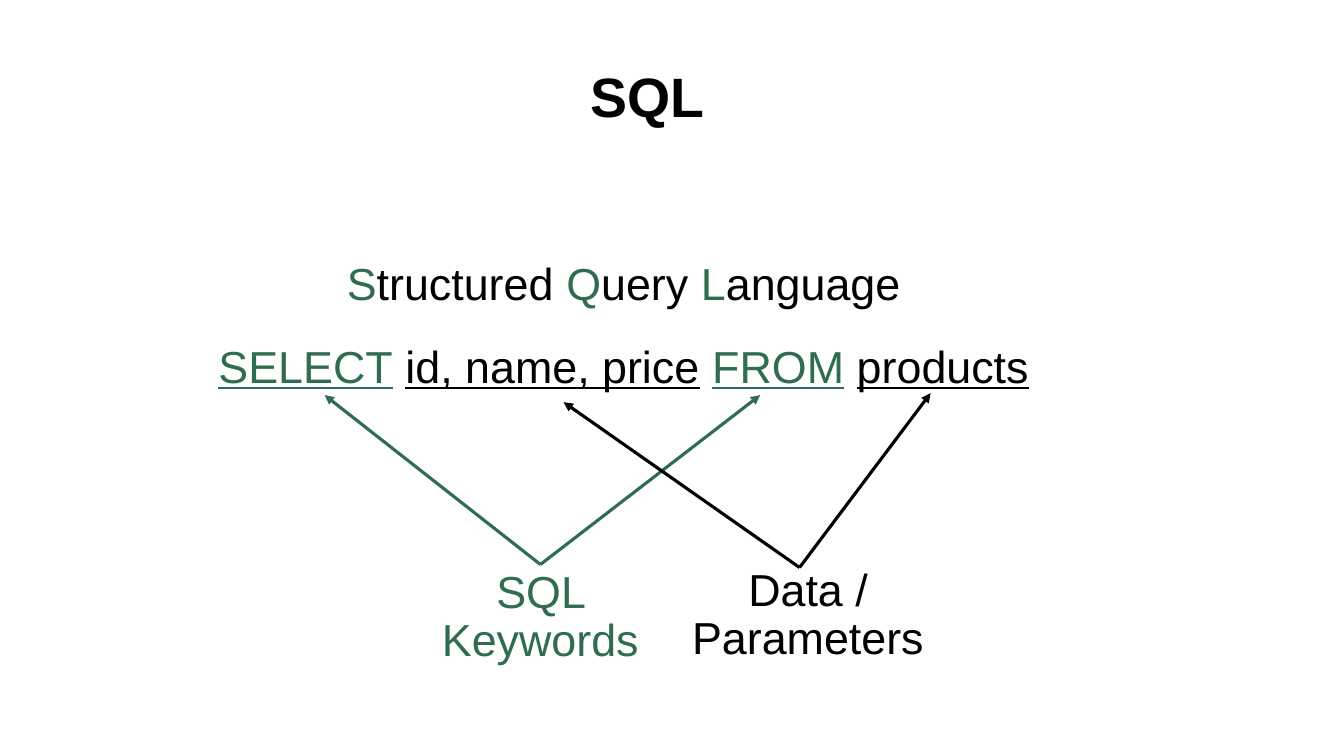
from dataclasses import dataclass

from lxml import etree
from pptx import Presentation
from pptx.dml.color import RGBColor
from pptx.enum.shapes import MSO_CONNECTOR
from pptx.enum.text import MSO_ANCHOR, MSO_AUTO_SIZE, PP_ALIGN
from pptx.oxml.ns import qn
from pptx.shapes.autoshape import Shape
from pptx.slide import Slide
from pptx.text.text import Font, TextFrame
from pptx.util import Inches, Pt

STRAIGHT = MSO_CONNECTOR.STRAIGHT
CENTER, LEFT = PP_ALIGN.CENTER, PP_ALIGN.LEFT
TOP, MIDDLE = MSO_ANCHOR.TOP, MSO_ANCHOR.MIDDLE
NO_AUTOFIT = MSO_AUTO_SIZE.NONE
TOP_SIDE = 0


@dataclass(frozen=True)
class Theme:
    font: str = "Arial"
    keyword: RGBColor = RGBColor(0x30, 0x6C, 0x50)
    data: RGBColor = RGBColor(0, 0, 0)
    title_size: float = 39.6
    body_size: float = 32
    arrow_width: float = 2.25
    line_spacing: float = 0.9
    inset: float = 0.05


THEME = Theme()


@dataclass(frozen=True)
class Piece:
    text: str
    color: RGBColor = THEME.data
    underline: bool = False


@dataclass(frozen=True)
class TextLine:
    left: float
    top: float
    width: float
    pieces: tuple[Piece, ...]
    height: float = 0.56


@dataclass(frozen=True)
class Arrow:
    start: tuple[float, float]
    end: tuple[float, float]
    color: RGBColor


SPACE = Piece(" ")
ACRONYM = TextLine(0.64, 2.55, 11.09, (
    Piece("S", THEME.keyword), Piece("tructured "),
    Piece("Q", THEME.keyword), Piece("uery "),
    Piece("L", THEME.keyword), Piece("anguage"),
))
QUERY = TextLine(0.64, 3.37, 11.09, (
    Piece("SELECT", THEME.keyword, True), SPACE,
    Piece("id, name, price", underline=True), SPACE,
    Piece("FROM", THEME.keyword, True), SPACE,
    Piece("products", underline=True),
))
KEYWORDS_LABEL = TextLine(4.02, 5.6, 2.68, (Piece("SQL Keywords", THEME.keyword),))
DATA_LABEL = TextLine(6.18, 5.58, 3.67, (Piece("Data / Parameters"),))

KEYWORD_ARROWS = [
    Arrow((5.36, 5.6), (3.22, 3.92), THEME.keyword),
    Arrow((5.36, 5.6), (7.54, 3.92), THEME.keyword),
]
DATA_ARROWS = [
    Arrow((7.93, 5.63), (5.59, 3.99), THEME.data),
    Arrow((7.93, 5.63), (9.23, 3.9), THEME.data),
]


def format_frame(text_frame: TextFrame, anchor: MSO_ANCHOR, alignment: PP_ALIGN) -> None:
    text_frame.word_wrap = True
    text_frame.auto_size = NO_AUTOFIT
    text_frame.vertical_anchor = anchor
    text_frame.margin_left = text_frame.margin_right = Inches(THEME.inset)
    text_frame.margin_top = text_frame.margin_bottom = Inches(THEME.inset)
    paragraph = text_frame.paragraphs[0]
    paragraph.alignment = alignment
    paragraph.line_spacing = THEME.line_spacing
    paragraph.space_before = Pt(0)


def format_font(font: Font, size: float, color: RGBColor) -> None:
    font.name = THEME.font
    font.size = Pt(size)
    font.color.rgb = color


def write_title(slide: Slide) -> None:
    title = slide.shapes.title
    title.left, title.top = Inches(5.81), Inches(0.54)
    title.width, title.height = Inches(1.31), Inches(0.89)
    title.text_frame.text = "SQL"
    format_frame(title.text_frame, MIDDLE, LEFT)
    font = title.text_frame.paragraphs[0].runs[0].font
    format_font(font, THEME.title_size, THEME.data)
    font.bold = True


def add_text_line(slide: Slide, line: TextLine) -> Shape:
    shape = slide.shapes.add_textbox(
        Inches(line.left), Inches(line.top), Inches(line.width), Inches(line.height)
    )
    format_frame(shape.text_frame, TOP, CENTER)
    paragraph = shape.text_frame.paragraphs[0]
    for piece in line.pieces:
        run = paragraph.add_run()
        run.text = piece.text
        format_font(run.font, THEME.body_size, piece.color)
        run.font.underline = piece.underline
    return shape


def add_arrow(slide: Slide, arrow: Arrow, label: Shape | None = None) -> None:
    connector = slide.shapes.add_connector(
        STRAIGHT, *(Inches(length) for length in arrow.start + arrow.end)
    )
    if label is not None:
        connector.begin_connect(label, TOP_SIDE)
    connector.line.color.rgb = arrow.color
    connector.line.width = Pt(THEME.arrow_width)
    outline = connector.line._get_or_add_ln()
    etree.SubElement(outline, qn("a:tailEnd"), type="triangle")
    etree.SubElement(connector._element.spPr, qn("a:effectLst"))


def main() -> None:
    presentation = Presentation()
    presentation.slide_width, presentation.slide_height = Inches(13.33), Inches(7.5)
    slide = presentation.slides.add_slide(presentation.slide_layouts.get_by_name("Title Only"))
    write_title(slide)
    for line in (ACRONYM, QUERY):
        add_text_line(slide, line)
    keywords_label = add_text_line(slide, KEYWORDS_LABEL)
    for arrow in KEYWORD_ARROWS:
        add_arrow(slide, arrow, keywords_label)
    for arrow in DATA_ARROWS:
        add_arrow(slide, arrow)
    add_text_line(slide, DATA_LABEL)
    presentation.save("out.pptx")


if __name__ == "__main__":
    main()
